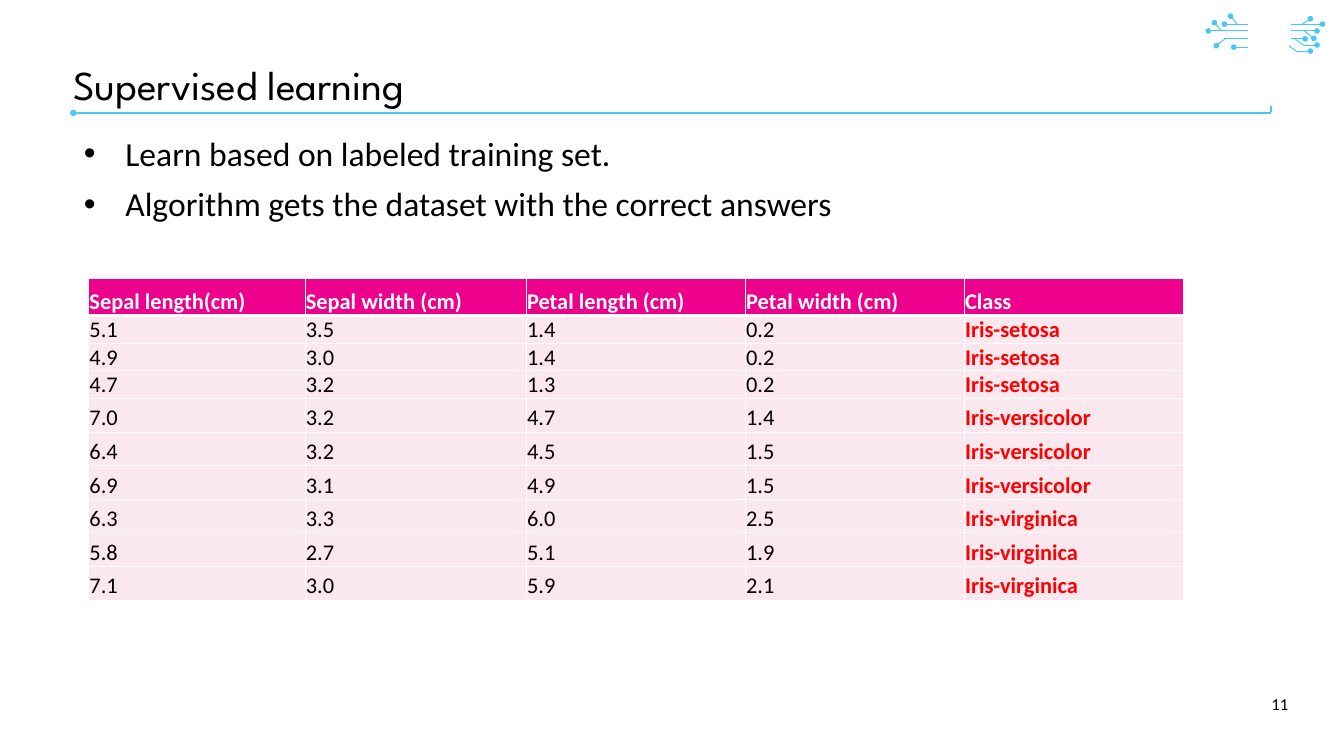
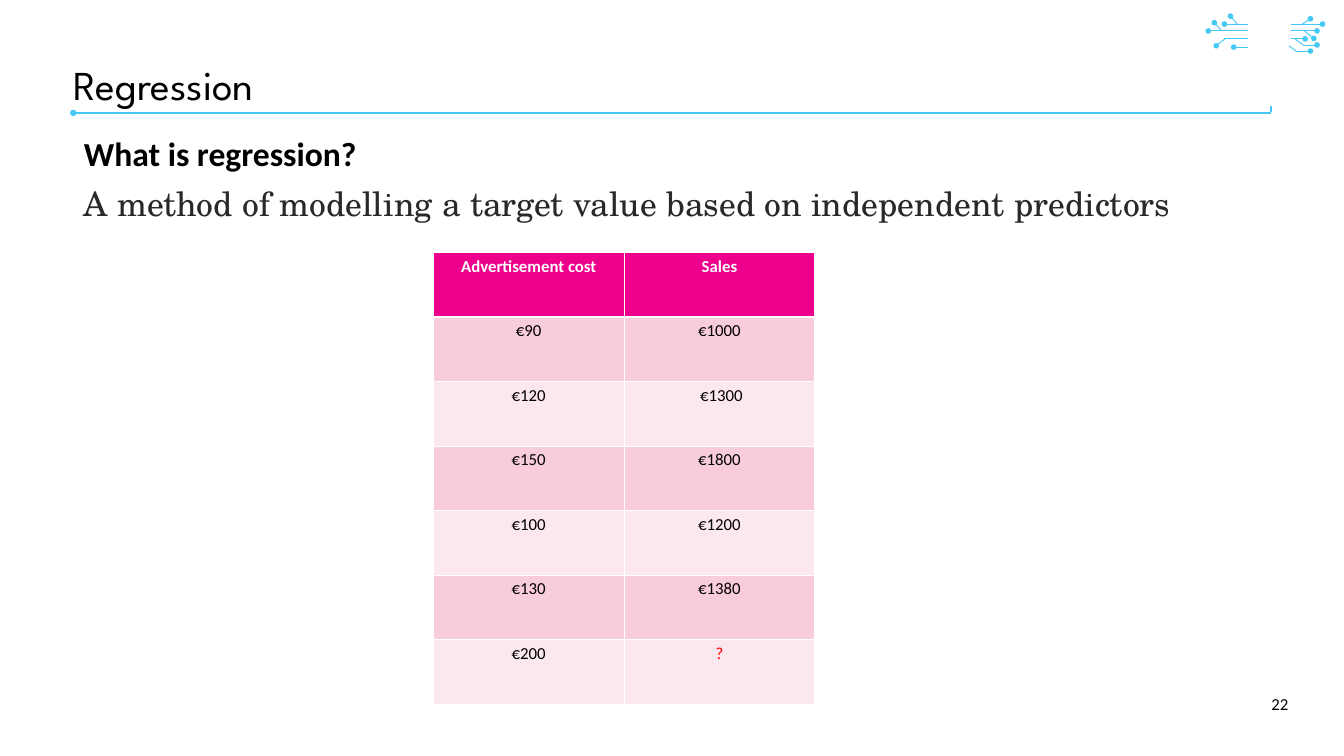
"""Build two slides on supervised learning and regression."""
from pptx import Presentation
from pptx.dml.color import RGBColor
from pptx.enum.shapes import MSO_CONNECTOR as Connector
from pptx.enum.text import MSO_ANCHOR as Anchor, PP_ALIGN as Align
from pptx.oxml.ns import qn
from pptx.util import Cm, Pt
from lxml.etree import SubElement

SKY = RGBColor(0x44, 0xC8, 0xF5)
MAGENTA = RGBColor(0xEC, 0x00, 0x8C)
ROSE = RGBColor(0xF8, 0xCC, 0xDA)
BLUSH = RGBColor(0xFB, 0xE7, 0xEE)
BLACK = RGBColor(0x00, 0x00, 0x00)
CHARCOAL = RGBColor(0x29, 0x29, 0x29)
RED = RGBColor(0xFF, 0x00, 0x00)
WHITE = RGBColor(0xFF, 0xFF, 0xFF)

BODY_FONT = "Calibri"
TITLE_FONT = "League Spartan"
SERIF_FONT = "TeX Gyre Schola"

DOTTED_TRACES = [
    (47.19, 0.91, 46.28, 0.91), (47.19, 1.17, 45.67, 1.17),
    (46.3, 1.47, 45.97, 1.73), (47.19, 1.78, 46.63, 1.78),
    (46.76, 0.91, 46.51, 0.61), (46.18, 1.17, 45.9, 0.86),
    (48.79, 1.17, 49.78, 1.17), (49.28, 1.7, 49.78, 1.7),
    (48.79, 1.47, 49.33, 1.47), (49.3, 1.17, 49.66, 1.45),
    (48.79, 0.91, 49.99, 0.91), (49.02, 1.93, 49.53, 1.93),
    (49.23, 0.91, 49.53, 0.71),
]
PLAIN_TRACES = [
    (47.19, 1.47, 46.28, 1.47), (49.3, 1.73, 48.95, 1.47),
    (49.02, 1.96, 48.72, 1.73),
]
DECORATION = [(trace, 1, "tailEnd") for trace in DOTTED_TRACES]
DECORATION += [(trace, 1, None) for trace in PLAIN_TRACES]
DECORATION += [
    ((2.77, 4.27, 48.03, 4.27), 2.25, "headEnd"),
    ((48.03, 4.24, 48.03, 3.99), 2.25, None),
]

IRIS_ROWS = [
    ["Sepal length(cm)", "Sepal width (cm)", "Petal length (cm)", "Petal width (cm)", "Class"],
    ["5.1", "3.5", "1.4", "0.2", "Iris-setosa"],
    ["4.9", "3.0", "1.4", "0.2", "Iris-setosa"],
    ["4.7", "3.2", "1.3", "0.2", "Iris-setosa"],
    ["7.0", "3.2", "4.7", "1.4", "Iris-versicolor"],
    ["6.4", "3.2", "4.5", "1.5", "Iris-versicolor"],
    ["6.9", "3.1", "4.9", "1.5", "Iris-versicolor"],
    ["6.3", "3.3", "6.0", "2.5", "Iris-virginica"],
    ["5.8", "2.7", "5.1", "1.9", "Iris-virginica"],
    ["7.1", "3.0", "5.9", "2.1", "Iris-virginica"],
]
SALES_ROWS = [
    ["Advertisement cost", "Sales"],
    ["€90", "€1000"],
    ["€120", " €1300"],
    ["€150", "€1800"],
    ["€100", "€1200"],
    ["€130", "€1380"],
    ["€200", "?"],
]

SLIDES = [
    {
        "title": "Supervised learning",
        "number": "11",
        "body": [
            ("Learn based on labeled training set.", {"bullet": True}),
            ("Algorithm gets the dataset with the correct answers", {"bullet": True}),
        ],
        "rows": IRIS_ROWS,
        "position": (3.35, 10.52),
        "widths": [8.18, 8.36, 8.28, 8.28, 8.28],
        "heights": [1.4] + [0.71] * 3 + [1.27] * 6,
        "bands": [BLUSH, BLUSH],
        "size": 24,
        "align": Align.LEFT,
        "anchor": Anchor.BOTTOM,
        "margins": (0.03, 0.03, 0.03, 0),
    },
    {
        "title": "Regression",
        "number": "22",
        "body": [
            ("What is regression?", {"bold": True}),
            ("A method of modelling a target value based on independent predictors",
             {"font": SERIF_FONT, "color": CHARCOAL}),
        ],
        "rows": SALES_ROWS,
        "position": (16.38, 9.55),
        "widths": [7.21] * 2,
        "heights": [2.44] * 7,
        "bands": [ROSE, BLUSH],
        "size": 18,
        "align": Align.CENTER,
        "anchor": Anchor.TOP,
        "margins": (0.25, 0.13, 0.25, 0.13),
    },
]


def write_text(frame, text, size=36, font=BODY_FONT, color=BLACK, bold=False,
               align=Align.LEFT, spacing=None, before=0, bullet=False):
    first = frame.paragraphs[0]
    paragraph = frame.add_paragraph() if first.runs else first
    if bullet:
        properties = paragraph._p.get_or_add_pPr()
        properties.set("marL", str(Cm(1.57)))
        properties.set("indent", str(-Cm(1.57)))
        SubElement(properties, qn("a:buFont"), typeface="Arial")
        SubElement(properties, qn("a:buChar"), char="•")
    paragraph.alignment = align
    paragraph.space_before = Pt(before)
    if spacing:
        paragraph.line_spacing = spacing
    run = paragraph.add_run()
    run.text = text
    run.font.size = Pt(size)
    run.font.name = font
    run.font.bold = bold
    run.font.color.rgb = color


def add_frame(slide, left, top, width, height, margins=(0.25, 0.13, 0.25, 0.13)):
    frame = slide.shapes.add_textbox(Cm(left), Cm(top), Cm(width), Cm(height)).text_frame
    frame.word_wrap = True
    frame.margin_left, frame.margin_top, frame.margin_right, frame.margin_bottom = map(Cm, margins)
    return frame


presentation = Presentation()
presentation.slide_width = Cm(50.8)
presentation.slide_height = Cm(28.58)

for content in SLIDES:
    slide = presentation.slides.add_slide(presentation.slide_layouts[6])

    for ends, width, dotted_end in DECORATION:
        connector = slide.shapes.add_connector(Connector.STRAIGHT, *map(Cm, ends))
        connector.line.color.rgb = SKY
        connector.line.width = Pt(width)
        if dotted_end:
            SubElement(connector.line._get_or_add_ln(), qn(f"a:{dotted_end}"), type="oval")
        SubElement(connector._element.spPr, qn("a:effectLst"))

    title_frame = add_frame(slide, 2.77, 2.46, 41.63, 1.75, margins=(0, 0, 0, 0))
    write_text(title_frame, content["title"], size=44, font=TITLE_FONT, spacing=0.9)

    body_frame = add_frame(slide, 2.92, 5.05, 46.05, 16.97)
    for index, (text, text_format) in enumerate(content["body"]):
        write_text(body_frame, text, spacing=0.9, before=15 if index else 0, **text_format)

    number_frame = add_frame(slide, 46.18, 25.86, 2.77, 1.52)
    number_frame.vertical_anchor = Anchor.MIDDLE
    write_text(number_frame, content["number"], size=18, align=Align.RIGHT)

    rows, widths, heights = content["rows"], content["widths"], content["heights"]
    left, top = content["position"]
    table = slide.shapes.add_table(len(rows), len(widths), Cm(left), Cm(top),
                                   Cm(sum(widths)), Cm(sum(heights))).table
    for column, width in zip(table.columns, widths):
        column.width = Cm(width)
    for row, height in zip(table.rows, heights):
        row.height = Cm(height)

    for row_index, values in enumerate(rows):
        is_header = row_index == 0
        for column_index, value in enumerate(values):
            cell = table.cell(row_index, column_index)
            cell.vertical_anchor = content["anchor"]
            (cell.margin_left, cell.margin_top,
             cell.margin_right, cell.margin_bottom) = map(Cm, content["margins"])
            for side in ("lnL", "lnR", "lnT", "lnB"):
                thick = (row_index, side) in ((0, "lnB"), (1, "lnT"))
                border = SubElement(cell._tc.get_or_add_tcPr(), qn(f"a:{side}"),
                                    w=str(Pt(3 if thick else 1)))
                border_fill = SubElement(border, qn("a:solidFill"))
                SubElement(border_fill, qn("a:srgbClr"), val=str(WHITE))
            cell.fill.solid()
            cell.fill.fore_color.rgb = MAGENTA if is_header else content["bands"][(row_index - 1) % 2]
            is_class = value.startswith("Iris")
            color = WHITE if is_header else RED if is_class or value == "?" else BLACK
            write_text(cell.text_frame, value, size=content["size"], color=color,
                       bold=is_header or is_class, align=content["align"])

presentation.save("out.pptx")
